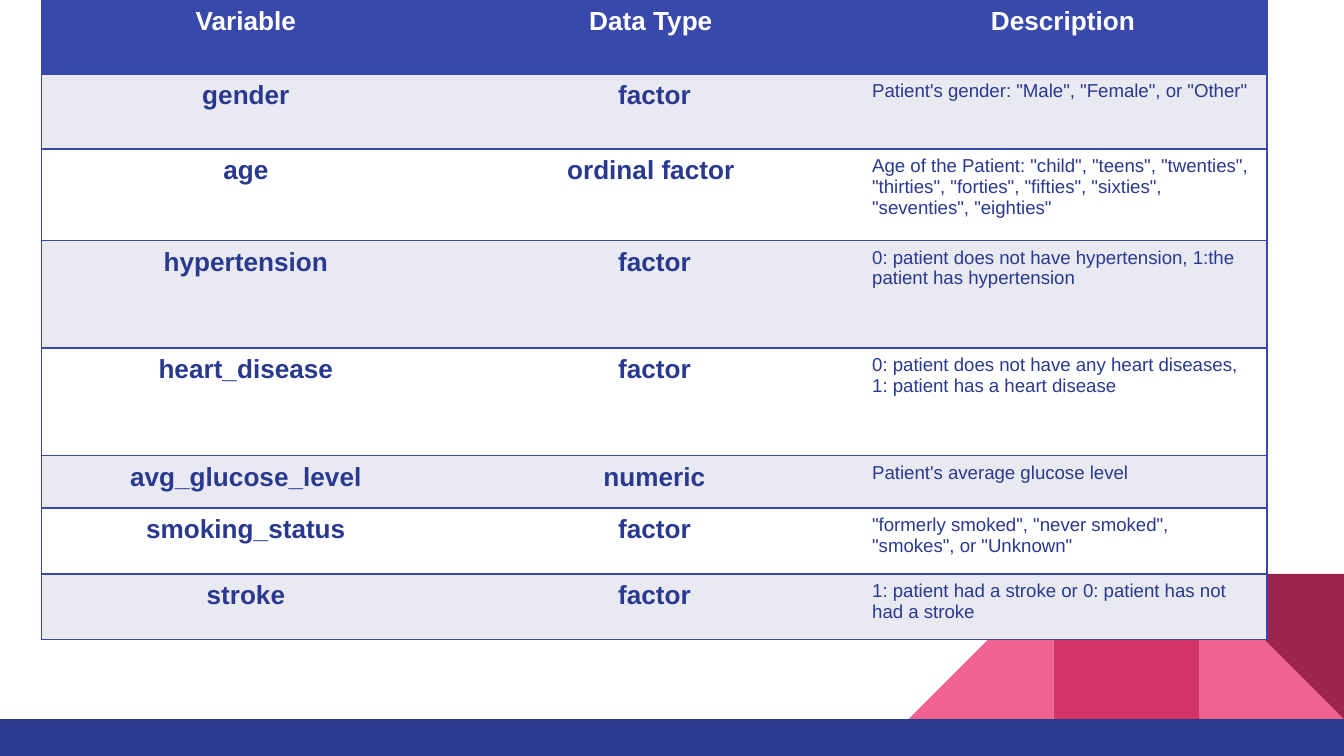
from dataclasses import dataclass

from lxml import etree
from pptx import Presentation
from pptx import util as u
from pptx.dml.color import RGBColor
from pptx.enum import shapes, text
from pptx.oxml.ns import qn

W = 10
H = W * 9 / 16
COLORS = {
    "white": "FFFFFF", "band": "E8E9F1", "header": "3949AB", "navy": "2A3990",
    "pink": "F06292", "rose": "D23369", "wine": "9C254D",
}
FONT = "Arial"

# Decoration: three square tiles standing on the footer bar
TILE = 1.08
FOOTER_TOP = 5.35
TILES_LEFT = 6.76

# Table grid
TABLE_LEFT, COL_W = 0.31, 3.04
BORDER_PT = 1


@dataclass
class Tile:
    col: int
    kind: shapes.MSO_SHAPE
    color: str
    rotation: int = 0


@dataclass
class Row:
    height: float
    variable: str
    data_type: str
    description: str


TRIANGLE, RECT = shapes.MSO_SHAPE.RIGHT_TRIANGLE, shapes.MSO_SHAPE.RECTANGLE
TILES = [
    Tile(2, TRIANGLE, "pink"),
    Tile(0, TRIANGLE, "pink", 270),
    Tile(1, RECT, "rose"),
    Tile(2, TRIANGLE, "wine", 180),
]
ROWS = [
    Row(0.55, "Variable", "Data Type ", "Description"),
    Row(0.56, "gender", "factor", 'Patient\'s gender: "Male", "Female", or "Other"'),
    Row(0.68, "age", "ordinal factor ",
        'Age of the Patient: "child", "teens", "twenties", "thirties", "forties", '
        '"fifties", "sixties", "seventies", "eighties"'),
    Row(0.8, "hypertension", "factor",
        "0: patient does not have hypertension, 1:the patient has hypertension"),
    Row(0.8, "heart_disease", "factor",
        "0: patient does not have any heart diseases, 1: patient has a heart disease"),
    Row(0.39, "avg_glucose_level", "numeric", "Patient's average glucose level"),
    Row(0.49, "smoking_status", "factor",
        '"formerly smoked", "never smoked", "smokes", or "Unknown"'),
    Row(0.49, "stroke", "factor",
        "1: patient had a stroke or 0: patient has not had a stroke"),
]


def rgb(name: str) -> RGBColor:
    return RGBColor.from_string(COLORS[name])


def add_block(s, kind, x: float, y: float, w: float, h: float, color: str,
              rotation: int = 0) -> None:
    sp = s.shapes.add_shape(kind, u.Inches(x), u.Inches(y), u.Inches(w), u.Inches(h))
    sp.shadow.inherit = False
    sp.fill.solid()
    sp.fill.fore_color.rgb = rgb(color)
    sp.line.fill.background()
    sp.rotation = rotation


def set_borders(cell, sides: str) -> None:
    """Draw the named sides (L, R, T, B) and clear the others."""
    tc_pr = cell._tc.get_or_add_tcPr()
    for i, side in enumerate("LRTB"):
        ln = etree.Element(qn(f"a:ln{side}"), w=str(u.Pt(BORDER_PT)))
        if side in sides:
            fill = etree.SubElement(ln, qn("a:solidFill"))
            etree.SubElement(fill, qn("a:srgbClr"), val=COLORS["header"])
        else:
            etree.SubElement(ln, qn("a:noFill"))
        tc_pr.insert(i, ln)


def fill_cell(cell, words: str, color: str, background: str, heading: bool) -> None:
    cell.fill.solid()
    cell.fill.fore_color.rgb = rgb(background)
    p = cell.text_frame.paragraphs[0]
    p.alignment = text.PP_ALIGN.CENTER if heading else text.PP_ALIGN.LEFT
    r = p.add_run()
    r.text = words
    r.font.name = FONT
    r.font.size = u.Pt(14 if heading else 10)
    r.font.bold = heading
    r.font.color.rgb = rgb(color)


def add_variable_table(s, rows: list[Row]) -> None:
    height = sum(row.height for row in rows)
    tbl = s.shapes.add_table(len(rows), 3, u.Inches(TABLE_LEFT), 0,
                             u.Inches(3 * COL_W), u.Inches(height)).table
    tbl.first_row = tbl.horz_banding = False
    for col in tbl.columns:
        col.width = u.Inches(COL_W)
    for i, row in enumerate(rows):
        tbl.rows[i].height = u.Inches(row.height)
        color = "navy" if i else "white"
        background = ("band" if i % 2 else "white") if i else "header"
        for j, words in enumerate((row.variable, row.data_type, row.description)):
            cell = tbl.cell(i, j)
            fill_cell(cell, words, color, background, heading=i == 0 or j < 2)
            set_borders(cell, "TB" + ("L", "", "R")[j])


def main() -> None:
    prs = Presentation()
    prs.slide_width, prs.slide_height = u.Inches(W), u.Inches(H)
    s = prs.slides.add_slide(prs.slide_layouts[6])
    s.background.fill.solid()
    s.background.fill.fore_color.rgb = rgb("white")

    # Corner tiles and footer bar
    for t in TILES:
        add_block(s, t.kind, TILES_LEFT + t.col * TILE, FOOTER_TOP - TILE,
                  TILE, TILE, t.color, t.rotation)
    add_block(s, RECT, 0, FOOTER_TOP, W, H - FOOTER_TOP, "navy")

    # Variable descriptions
    add_variable_table(s, ROWS)
    prs.save("out.pptx")


if __name__ == "__main__":
    main()
